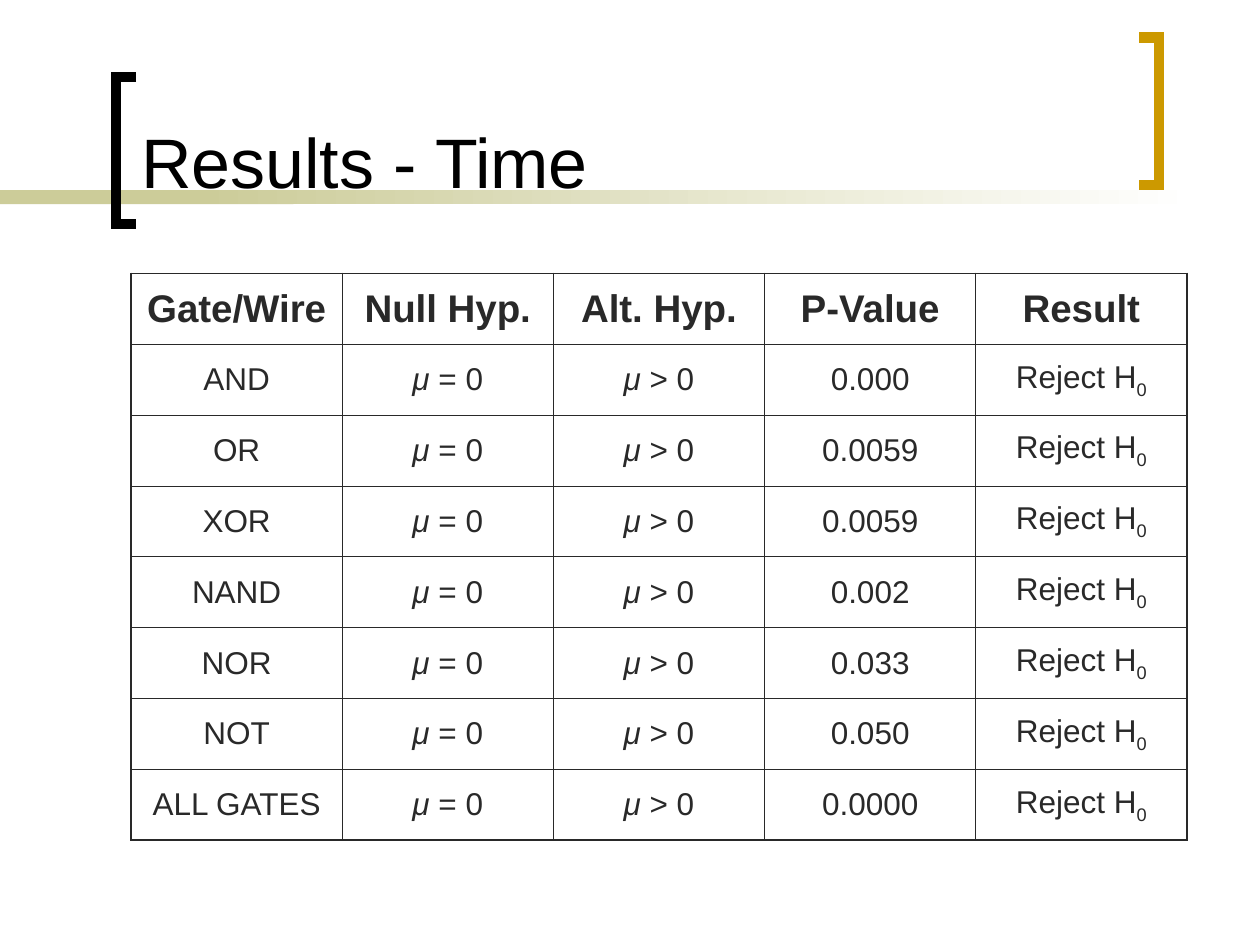
"""Build the time results slide with its hypothesis test table."""
from dataclasses import dataclass

import pptx
import pptx.dml.color
import pptx.enum.shapes
import pptx.enum.text
import pptx.oxml
import pptx.oxml.ns
import pptx.util
from pptx.util import Inches


@dataclass(frozen=True)
class Theme:
    font: str = "Arial"
    black: str = "000000"
    ink: str = "292929"
    olive: str = "CCCC99"
    gold: str = "CC9900"
    white: str = "FFFFFF"
    title_size: float = 40
    header_size: float = 22
    body_size: float = 18
    bracket_line: float = 6
    outer_line: float = 1.08
    inner_line: float = 0.45


@dataclass(frozen=True)
class Bracket:
    open_x: float
    spine_x: float
    top: float
    color: str
    height: float = 1.17


@dataclass(frozen=True)
class GateTest:
    gate: str
    p_value: str


THEME = Theme()
BRACKETS = [
    Bracket(1.08, 0.92, 0.61, THEME.black),
    Bracket(9.04, 9.2, 0.3, THEME.gold),
]
HEADERS = ["Gate/Wire", "Null Hyp.", "Alt. Hyp.", "P-Value", "Result"]
TESTS = [
    GateTest("AND", "0.000"),
    GateTest("OR", "0.0059"),
    GateTest("XOR", "0.0059"),
    GateTest("NAND", "0.002"),
    GateTest("NOR", "0.033"),
    GateTest("NOT", "0.050"),
    GateTest("ALL GATES", "0.0000"),
]


def rgb(color: str) -> pptx.dml.color.RGBColor:
    return pptx.dml.color.RGBColor.from_string(color)


def style_run(r, size: float, color: str, bold: bool = False) -> None:
    r.font.name = THEME.font
    r.font.size = pptx.util.Pt(size)
    r.font.bold = bold
    r.font.color.rgb = rgb(color)


def add_bar(s, left: float, width: float):
    bar = s.shapes.add_shape(
        pptx.enum.shapes.MSO_SHAPE.RECTANGLE,
        Inches(left), Inches(1.51), Inches(width), Inches(0.11),
    )
    bar.shadow.inherit = False
    bar.line.fill.background()
    return bar


def add_rule(s) -> None:
    solid = add_bar(s, 0, 2.33)
    solid.fill.solid()
    solid.fill.fore_color.rgb = rgb(THEME.olive)
    fade = add_bar(s, 1.58, 7.92)
    fade.fill.gradient()
    fade.fill.gradient_angle = 180
    for stop, color in zip(fade.fill.gradient_stops, (THEME.white, THEME.olive)):
        stop.color.rgb = rgb(color)


def add_bracket(s, bracket: Bracket) -> None:
    open_x, spine_x = Inches(bracket.open_x), Inches(bracket.spine_x)
    top, bottom = Inches(bracket.top), Inches(bracket.top + bracket.height)
    outline = s.shapes.build_freeform(open_x, top)
    outline.add_line_segments(
        [(spine_x, top), (spine_x, bottom), (open_x, bottom)], close=False
    )
    sp = outline.convert_to_shape()
    sp.shadow.inherit = False
    sp.fill.background()
    sp.line.color.rgb = rgb(bracket.color)
    sp.line.width = pptx.util.Pt(THEME.bracket_line)
    ln = sp.element.spPr.find(pptx.oxml.ns.qn("a:ln"))
    ln.append(pptx.oxml.parse_xml(
        f'<a:miter {pptx.oxml.ns.nsdecls("a")} lim="800000"/>'
    ))


def set_title(s, text: str) -> None:
    title = s.shapes.title
    title.left, title.top = Inches(1.02), Inches(0.11)
    title.width, title.height = Inches(7.83), Inches(1.55)
    tf = title.text_frame
    tf.text = text
    tf.auto_size = pptx.enum.text.MSO_AUTO_SIZE.NONE
    tf.vertical_anchor = pptx.enum.text.MSO_ANCHOR.BOTTOM
    p = tf.paragraphs[0]
    p.alignment = pptx.enum.text.PP_ALIGN.LEFT
    style_run(p.runs[0], THEME.title_size, THEME.black)
    title.element.getparent().append(title.element)


def set_borders(cell, outer_sides: dict[str, bool]) -> None:
    tc_pr = cell._tc.get_or_add_tcPr()
    for i, (side, outer) in enumerate(outer_sides.items()):
        width = pptx.util.Pt(THEME.outer_line if outer else THEME.inner_line)
        tc_pr.insert(i, pptx.oxml.parse_xml(
            f'<a:ln{side} {pptx.oxml.ns.nsdecls("a")} w="{int(width)}"><a:solidFill>'
            f'<a:srgbClr val="{THEME.ink}"/></a:solidFill></a:ln{side}>'
        ))


def fill_cell(cell, parts: list[str], header: bool) -> None:
    cell.fill.background()
    cell.vertical_anchor = pptx.enum.text.MSO_ANCHOR.MIDDLE
    p = cell.text_frame.paragraphs[0]
    p.alignment = pptx.enum.text.PP_ALIGN.CENTER
    p.space_before = pptx.util.Pt(5.5 if header else 4.5)
    for part in parts:
        r = p.add_run()
        r.text = part
        style_run(r, THEME.header_size if header else THEME.body_size, THEME.ink, header)
        if part == "μ":
            r.font.italic = True
    if parts[0] == "Reject H":
        p.runs[1].font._element.set("baseline", "-25000")


def add_results_table(s) -> None:
    rows = [[[header] for header in HEADERS]] + [
        [[test.gate], ["μ", " = 0"], ["μ", " > 0"], [test.p_value], ["Reject H", "0"]]
        for test in TESTS
    ]
    last_row, last_col = len(rows) - 1, len(HEADERS) - 1
    table = s.shapes.add_table(
        len(rows), len(HEADERS), Inches(1.04), Inches(2.17), Inches(8.38), Inches(4.5)
    ).table
    table.first_row = table.horz_banding = False
    for i, row in enumerate(rows):
        for j, parts in enumerate(row):
            cell = table.cell(i, j)
            fill_cell(cell, parts, header=i == 0)
            set_borders(cell, {
                "L": j == 0, "R": j == last_col, "T": i == 0, "B": i == last_row,
            })


def main() -> None:
    prs = pptx.Presentation()
    prs.slide_width, prs.slide_height = Inches(10), Inches(7.5)
    s = prs.slides.add_slide(prs.slide_layouts.get_by_name("Title Only"))
    add_rule(s)
    for bracket in BRACKETS:
        add_bracket(s, bracket)
    set_title(s, "Results - Time")
    add_results_table(s)
    prs.save("out.pptx")


if __name__ == "__main__":
    main()
